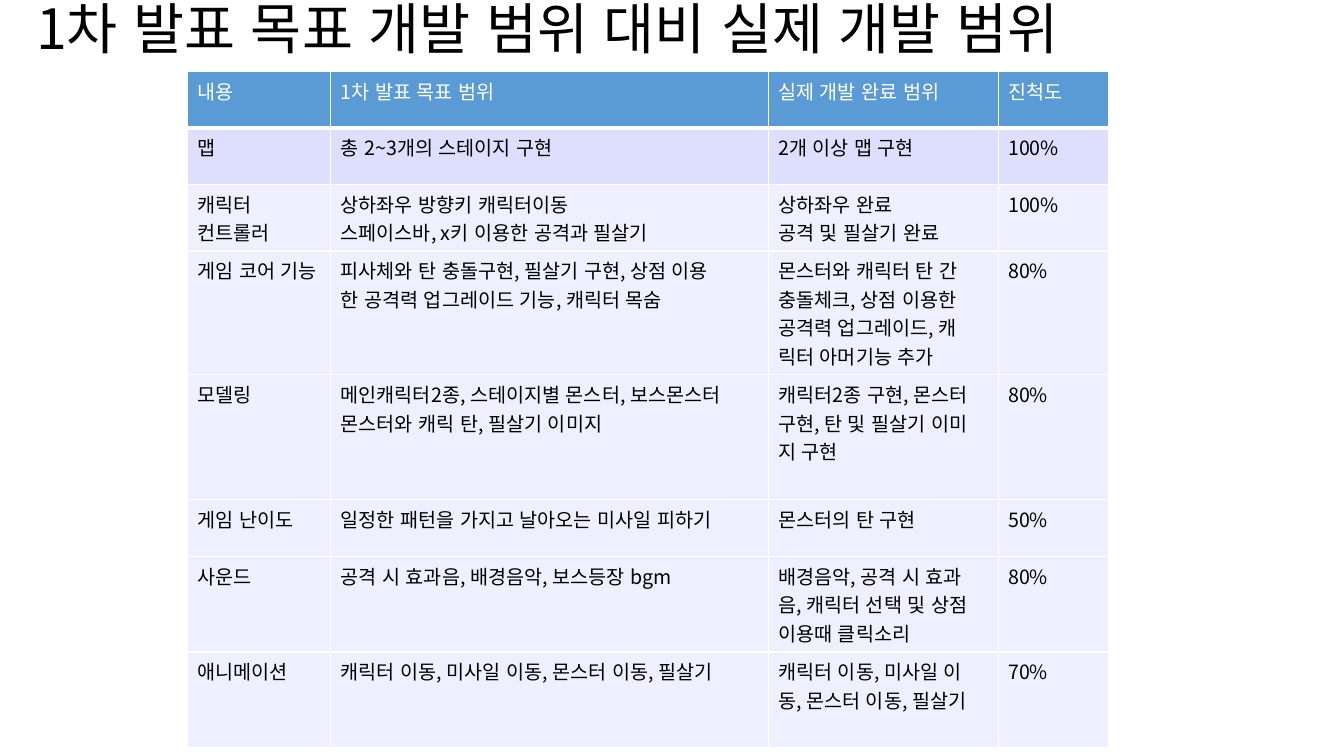
from lxml.etree import SubElement
from pptx import Presentation
from pptx.dml.color import RGBColor
from pptx.enum.lang import MSO_LANGUAGE_ID
from pptx.enum.text import MSO_ANCHOR
from pptx.oxml import parse_xml
from pptx.oxml.ns import nsdecls, qn
from pptx.util import Inches, Pt

FONT = "Noto Sans CJK KR"
TITLE = "1차 발표 목표 개발 범위 대비 실제 개발 범위"
WIDTHS = [1.42, 4.34, 2.28, 1.1]
HEIGHTS = [0.56, 0.56, 0.66, 1.23, 1.24, 0.56, 0.95, 0.95]
ROWS = [
    ["내용", "1차 발표 목표 범위", "실제 개발 완료 범위", "진척도"],
    ["맵", "총 2~3개의 스테이지 구현", "2개 이상 맵 구현", "100%"],
    ["캐릭터 컨트롤러",
     "상하좌우 방향키 캐릭터이동\n스페이스바, x키 이용한 공격과 필살기",
     "상하좌우 완료\n공격 및 필살기 완료", "100%"],
    ["게임 코어 기능",
     "피사체와 탄 충돌구현, 필살기 구현, 상점 이용\n한 공격력 업그레이드 기능, 캐릭터 목숨",
     "몬스터와 캐릭터 탄 간\n충돌체크, 상점 이용한\n공격력 업그레이드, 캐\n릭터 아머기능 추가", "80%"],
    ["모델링",
     "메인캐릭터2종, 스테이지별 몬스터, 보스몬스터\n몬스터와 캐릭 탄, 필살기 이미지",
     "캐릭터2종 구현, 몬스터\n구현, 탄 및 필살기 이미\n지 구현", "80%"],
    ["게임 난이도", "일정한 패턴을 가지고 날아오는 미사일 피하기",
     "몬스터의 탄 구현", "50%"],
    ["사운드", "공격 시 효과음, 배경음악, 보스등장 bgm",
     "배경음악, 공격 시 효과\n음, 캐릭터 선택 및 상점\n이용때 클릭소리", "80%"],
    ["애니메이션", "캐릭터 이동, 미사일 이동, 몬스터 이동, 필살기",
     "캐릭터 이동, 미사일 이\n동, 몬스터 이동, 필살기", "70%"],
]


def paint(target, color):
    """Give a fill one solid colour."""
    target.solid()
    target.fore_color.rgb = RGBColor.from_string(color)


def write(para, text, size, color):
    """Add one unkerned run in the slide font for Latin and Korean text."""
    run = para.add_run()
    run.text = text
    run.font.size = Pt(size)
    run.font.name = FONT
    run.font.language_id = MSO_LANGUAGE_ID.KOREAN
    paint(run.font.fill, color)
    props = run.font._element
    props.set("kern", "0")
    SubElement(props, qn("a:ea")).set("typeface", FONT)


def border(cell, top, bottom):
    """Draw white lines on the four sides of a cell."""
    props = cell._tc.get_or_add_tcPr()
    sides = {"lnL": 1, "lnR": 1, "lnT": top, "lnB": bottom}
    for index, (side, width) in enumerate(sides.items()):
        props.insert(index, parse_xml(
            f'<a:{side} {nsdecls("a")} w="{Pt(width)}"><a:solidFill>'
            f'<a:srgbClr val="FFFFFF"/></a:solidFill></a:{side}>'))


def heading(slide, left, top, width, height):
    """Place the slide title in its box."""
    box = slide.shapes.add_textbox(
        Inches(left), Inches(top), Inches(width), Inches(height))
    frame = box.text_frame
    frame.word_wrap = True
    frame.vertical_anchor = MSO_ANCHOR.MIDDLE
    para = frame.paragraphs[0]
    para.line_spacing = 0.9
    write(para, TITLE, 39.6, "000000")


def fill_cell(cell, text, row, col):
    """Write and style one cell by its place in the table."""
    paint(cell.fill, {0: "5B9BD5", 1: "DEDEFF"}.get(row, "EFEFFF"))
    border(cell, 3 if row == 1 else 1, 3 if row == 0 else 1)
    frame = cell.text_frame
    for index, line in enumerate(text.split("\n")):
        para = frame.add_paragraph() if index else frame.paragraphs[0]
        if row > 1 and col > 0:
            props = para._p.get_or_add_pPr()
            props.set("marL", str(Inches(0.38)))
            props.set("indent", str(-Inches(0.38)))
        write(para, line, 14, "000000" if row else "FFFFFF")


def progress(slide, left, top):
    """Place the table of goals and results."""
    table = slide.shapes.add_table(
        len(ROWS), len(WIDTHS), Inches(left), Inches(top),
        Inches(sum(WIDTHS)), Inches(sum(HEIGHTS))).table
    for col, width in zip(table.columns, WIDTHS):
        col.width = Inches(width)
    for row, height in zip(table.rows, HEIGHTS):
        row.height = Inches(height)
    for row, texts in enumerate(ROWS):
        for col, text in enumerate(texts):
            fill_cell(table.cell(row, col), text, row, col)


def main():
    """Build and save the slide."""
    deck = Presentation()
    deck.slide_width = Inches(13.33)
    deck.slide_height = Inches(7.5)
    slide = deck.slides.add_slide(deck.slide_layouts[6])
    heading(slide, 0.26, 0.05, 12.91, 0.52)
    progress(slide, 1.86, 0.71)
    deck.save("out.pptx")


if __name__ == "__main__":
    main()
